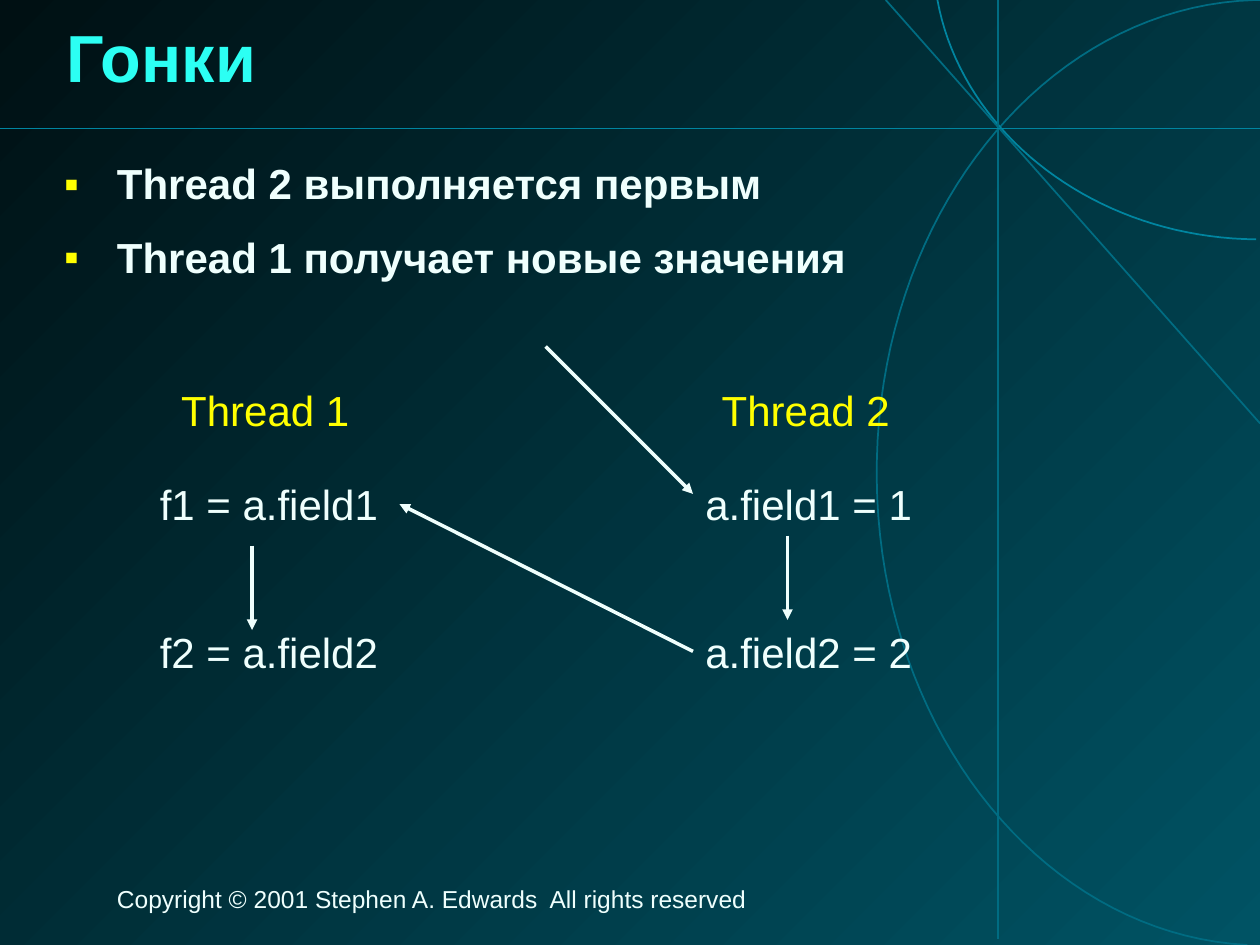
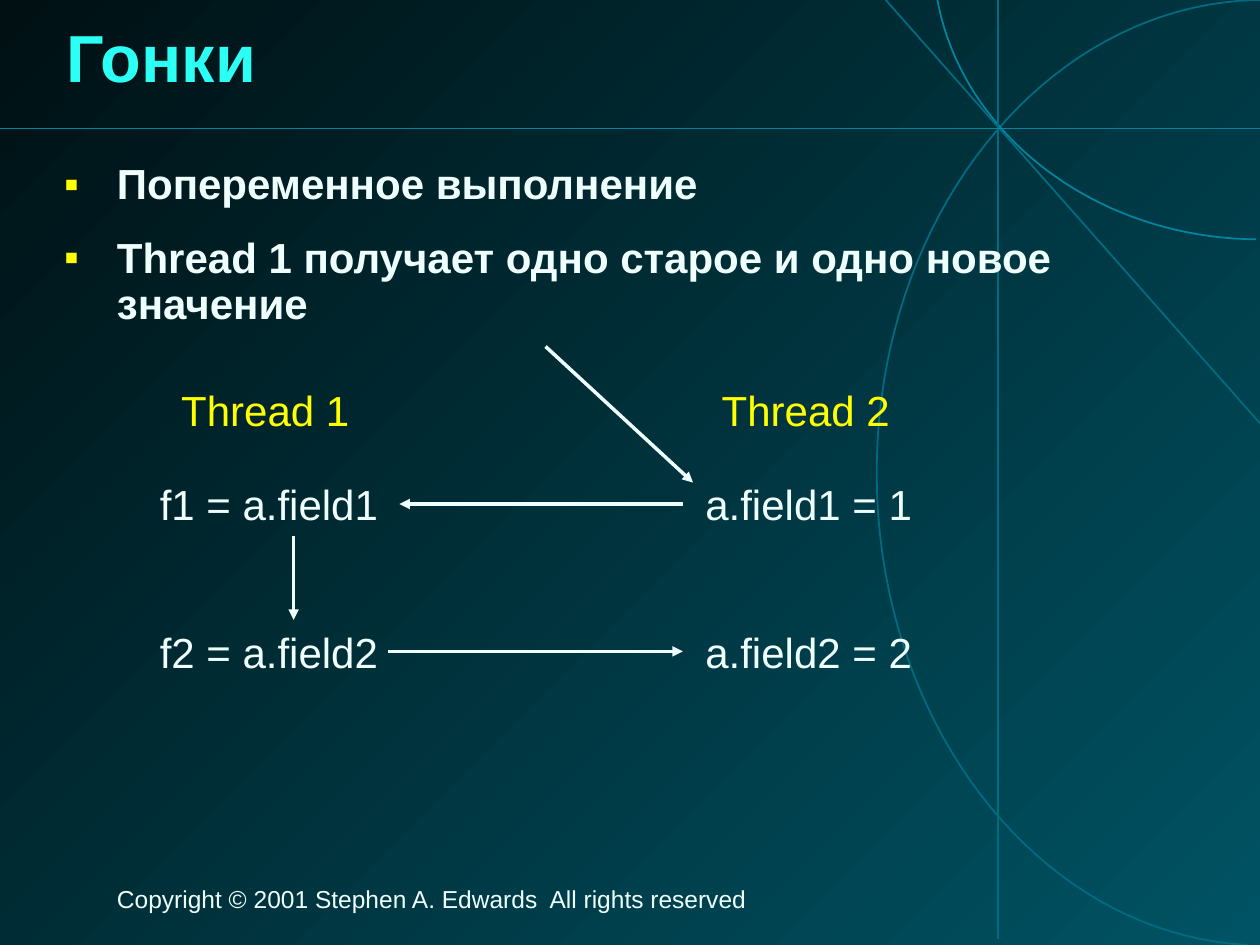
"""Build two slides that show how a pair of threads can race."""
from dataclasses import dataclass

from lxml import etree
from pptx import Presentation
from pptx.dml.color import RGBColor
from pptx.enum.shapes import MSO_CONNECTOR
from pptx.enum.text import MSO_ANCHOR
from pptx.oxml.ns import qn
from pptx.util import Inches, Pt

STRAIGHT = MSO_CONNECTOR.STRAIGHT
TOP, MIDDLE = MSO_ANCHOR.TOP, MSO_ANCHOR.MIDDLE
BLANK_LAYOUT = 6
CURVE_STEPS = 40


@dataclass(frozen=True)
class Theme:
    """Colours, font and type sizes shared by the slides."""
    font: str = "Arial"
    title: RGBColor = RGBColor(0x2C, 0xFF, 0xF3)
    text: RGBColor = RGBColor(0xEF, 0xFF, 0xFD)
    accent: RGBColor = RGBColor(0xFF, 0xFF, 0x00)
    dim_line: RGBColor = RGBColor(0x00, 0x6C, 0x82)
    bright_line: RGBColor = RGBColor(0x00, 0x85, 0xA0)
    gradient: tuple = (RGBColor(0x00, 0x53, 0x64), RGBColor(0x00, 0x10, 0x13))
    title_size: int = 38
    body_size: int = 24
    footer_size: int = 14


FOOTER = "Copyright © 2001 Stephen A. Edwards  All rights reserved"
LARGE_ARC = [(9.9, 7.5), (8.22, 7.41), (6.91, 5.69), (6.96, 3.64),
             (7.01, 1.59), (8.4, -0.03), (10.08, 0)]
SMALL_ARC = [(9.97, 1.9), (8.71, 1.89), (7.64, 1.08), (7.44, 0)]
THREADS = [
    (1.34, "Thread 1", 1.17, ("f1 = a.field1", "f2 = a.field2")),
    (5.63, "Thread 2", 5.5, ("a.field1 = 1", "a.field2 = 2")),
]
HEADING_TOP = 3
STATEMENT_TOPS = (3.75, 4.92)
SLIDES = [
    (["Thread 2 выполняется первым", "Thread 1 получает новые значения"],
     [((2, 4.33), (2, 5)), ((5.5, 5.17), (3.17, 4)),
      ((6.25, 4.25), (6.25, 4.92)), ((4.33, 2.75), (5.5, 3.92))]),
    (["Попеременное выполнение",
      "Thread 1 получает одно старое и одно новое значение"],
     [((3.08, 5.17), (5.42, 5.17)), ((5.42, 4), (3.17, 4)),
      ((2.33, 4.25), (2.33, 4.92)), ((4.33, 2.75), (5.5, 3.83))]),
]


def bezier_points(controls):
    """Return points along a chain of cubic curves."""
    points = [controls[0]]
    for first in range(0, len(controls) - 1, 3):
        segment = controls[first:first + 4]
        for step in range(1, CURVE_STEPS + 1):
            t = step / CURVE_STEPS
            weights = ((1 - t) ** 3, 3 * t * (1 - t) ** 2,
                       3 * t ** 2 * (1 - t), t ** 3)
            points.append(tuple(
                sum(weight * point[axis] for weight, point in zip(weights, segment))
                for axis in (0, 1)))
    return points


class RaceDeck:
    """Holds the theme and the current slide and draws each kind of element."""

    def __init__(self, theme):
        """Open a presentation and set its size and background."""
        self.theme = theme
        self.slide = None
        self.presentation = Presentation()
        self.presentation.slide_width = Inches(10)
        self.presentation.slide_height = Inches(7.5)
        fill = self.presentation.slide_master.background.fill
        fill.gradient()
        fill.gradient_angle = 135
        for stop, color in zip(fill.gradient_stops, theme.gradient):
            stop.color.rgb = color

    def add_slide(self, title):
        """Start a slide with the shared lines, footer and title."""
        theme = self.theme
        layout = self.presentation.slide_layouts[BLANK_LAYOUT]
        self.slide = self.presentation.slides.add_slide(layout)
        self.curve(LARGE_ARC, theme.dim_line)
        self.curve(SMALL_ARC, theme.bright_line)
        self.line((10, 3.36), (7.03, 0), theme.dim_line)
        self.line((7.92, 0), (7.92, 7.45), theme.dim_line)
        self.line((0, 1.02), (10, 1.02), theme.bright_line)
        self.text((0.83, 7, 8.08, 0.3), [FOOTER], theme.footer_size,
                  theme.text, line_spacing=0.85)
        heading = self.text((0.43, 0, 9.21, 0.98), [title], theme.title_size,
                            theme.title, bold=True, line_spacing=0.87,
                            anchor=MIDDLE)
        self.shadow(heading.paragraphs[0].runs[0])

    def curve(self, controls, color):
        """Draw an open curve without fill."""
        points = [(Inches(x), Inches(y)) for x, y in bezier_points(controls)]
        builder = self.slide.shapes.build_freeform(*points[0])
        builder.add_line_segments(points[1:], close=False)
        shape = builder.convert_to_shape()
        shape.shadow.inherit = False
        shape.fill.background()
        shape.line.color.rgb = color
        shape.line.width = Pt(1)

    def line(self, start, end, color, width=1):
        """Draw a straight line and return it."""
        connector = self.slide.shapes.add_connector(
            STRAIGHT, *(Inches(value) for value in start + end))
        connector.line.color.rgb = color
        connector.line.width = Pt(width)
        etree.SubElement(connector._element.spPr, qn("a:effectLst"))
        return connector

    def arrow(self, start, end):
        """Draw a line with an arrowhead at its end."""
        connector = self.line(start, end, self.theme.text, 2)
        etree.SubElement(connector.line._get_or_add_ln(), qn("a:tailEnd"),
                         type="triangle")

    def text(self, box, lines, size, color, bold=False, line_spacing=1.0,
             space_before=0, anchor=TOP, wrap=True):
        """Add a text box with one paragraph a line and return its frame."""
        shape = self.slide.shapes.add_textbox(*(Inches(value) for value in box))
        frame = shape.text_frame
        frame.word_wrap = wrap
        frame.vertical_anchor = anchor
        for index, line in enumerate(lines):
            paragraph = frame.add_paragraph() if index else frame.paragraphs[0]
            paragraph.line_spacing = line_spacing
            paragraph.space_before = Pt(space_before)
            run = paragraph.add_run()
            run.text = line
            run.font.name = self.theme.font
            run.font.size = Pt(size)
            run.font.bold = bold
            run.font.color.rgb = color
        return frame

    def shadow(self, run):
        """Give a run a dark shadow."""
        effects = etree.Element(qn("a:effectLst"))
        outer = etree.SubElement(effects, qn("a:outerShdw"),
                                 dist=str(Pt(3)), dir="2700000")
        etree.SubElement(outer, qn("a:srgbClr"), val="000000")
        run.font._element.find(qn("a:solidFill")).addnext(effects)

    def bullets(self, lines):
        """Add the bold bulleted list."""
        frame = self.text((0.41, 1.24, 9.12, 1.59), lines, self.theme.body_size,
                          self.theme.text, bold=True, line_spacing=0.93,
                          space_before=15)
        for paragraph in frame.paragraphs:
            properties = paragraph._p.get_or_add_pPr()
            properties.set("marL", str(Inches(0.42)))
            properties.set("indent", str(-Inches(0.42)))
            color = etree.SubElement(properties, qn("a:buClr"))
            etree.SubElement(color, qn("a:srgbClr"), val=str(self.theme.accent))
            etree.SubElement(properties, qn("a:buFont"), typeface=self.theme.font)
            etree.SubElement(properties, qn("a:buChar"), char="▪")

    def label(self, left, top, text, color):
        """Add a one-line label of the thread diagram."""
        self.text((left, top, 2, 0.5), [text], self.theme.body_size, color)

    def threads(self):
        """Add both thread headings with their statements."""
        for heading_left, heading, left, statements in THREADS:
            self.label(heading_left, HEADING_TOP, heading, self.theme.accent)
            for top, statement in zip(STATEMENT_TOPS, statements):
                self.label(left, top, statement, self.theme.text)


def main():
    """Build and save the presentation."""
    deck = RaceDeck(Theme())
    for bullets, arrows in SLIDES:
        deck.add_slide("Гонки")
        deck.bullets(bullets)
        deck.threads()
        for start, end in arrows:
            deck.arrow(start, end)
    deck.presentation.save("out.pptx")


if __name__ == "__main__":
    main()
